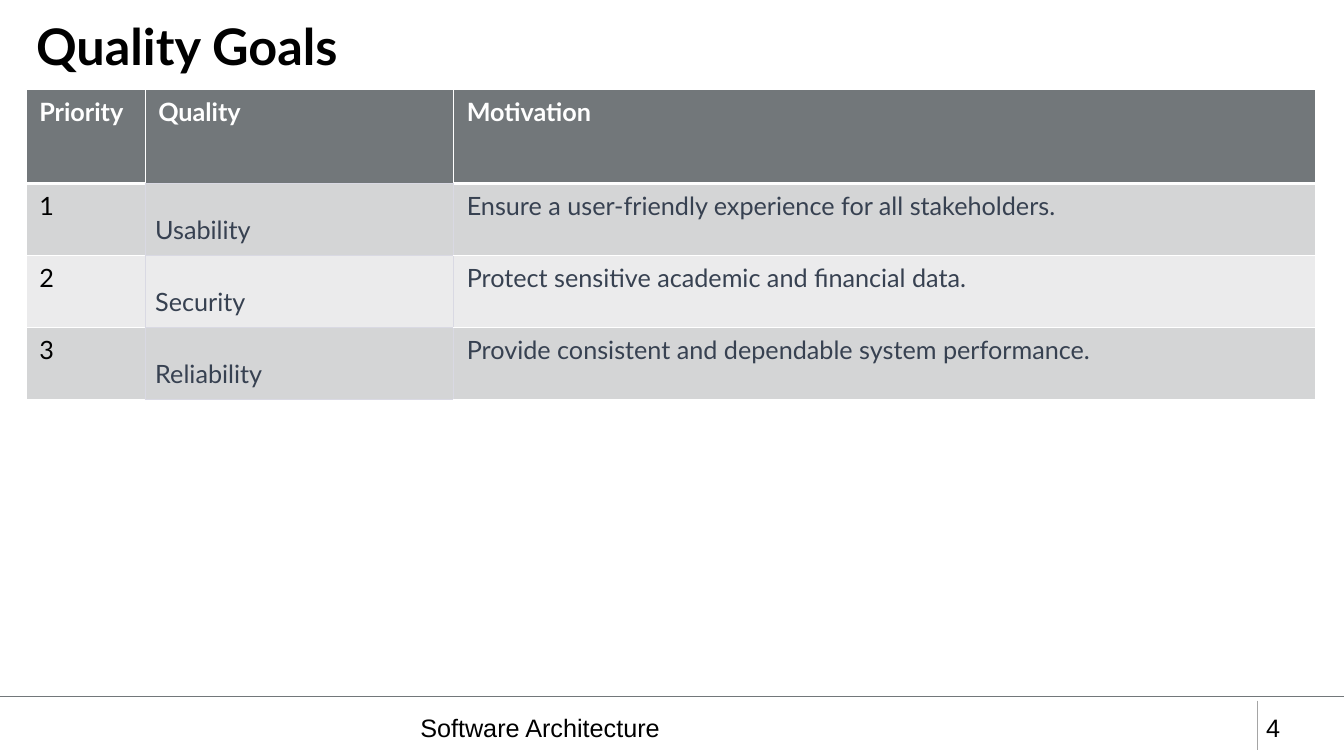
from dataclasses import dataclass

from lxml import etree
from pptx import Presentation
from pptx import util as u
from pptx.dml.color import RGBColor
from pptx.enum import shapes, text
from pptx.oxml import ns

BLACK = RGBColor(0x00, 0x00, 0x00)
WHITE = RGBColor(0xFF, 0xFF, 0xFF)
SLATE = RGBColor(0x72, 0x77, 0x7A)
GREY = RGBColor(0xA5, 0xA5, 0xA5)
INK = RGBColor(0x37, 0x41, 0x51)
LAVENDER = RGBColor(0xD9, 0xD9, 0xE3)
BANDS = (RGBColor(0xD4, 0xD5, 0xD6), RGBColor(0xEB, 0xEB, 0xEC))


@dataclass(frozen=True)
class Label:
    content: str
    left: float
    top: float
    width: float
    height: float
    font: str = "Arial"
    size: float = 18
    bold: bool = False
    spacing: float = 1.0


@dataclass(frozen=True)
class Rule:
    start: tuple[float, float]
    end: tuple[float, float]
    color: RGBColor


@dataclass(frozen=True)
class Border:
    color: RGBColor = WHITE
    width: float = 1


@dataclass(frozen=True)
class Goal:
    priority: str
    quality: str
    motivation: str


LABELS = (
    Label("Quality Goals", 0.26, 0.17, 12.8, 0.64, "Lato", 36, True, 0.9),
    Label("Software Architecture", 4.07, 7.02, 8.27, 0.4),
    Label("4", 12.46, 7.02, 0.71, 0.4),
)
RULES = (
    Rule((12.47, 6.95), (12.47, 7.44), GREY),
    Rule((0, 6.91), (13.33, 6.91), SLATE),
)
HEADER = Goal("Priority", "Quality", "Motivation")
GOALS = (
    Goal("1", "Usability", "Ensure a user-friendly experience for all stakeholders."),
    Goal("2", "Security", "Protect sensitive academic and financial data."),
    Goal("3", "Reliability", "Provide consistent and dependable system performance."),
)
COLUMN_WIDTHS = (1.18, 3.06, 8.55)
HEADER_HEIGHT, GOAL_HEIGHT = 0.93, 0.54
QUALITY_COLUMN = 1
PLAIN, SOFT, HEAVY = Border(), Border(LAVENDER, 0.75), Border(width=3)


def write(frame, content: str, *, font: str = "Lato", size: float = 18,
          color: RGBColor = BLACK, bold: bool = False, spacing: float = 1.0) -> None:
    paragraph = frame.paragraphs[0]
    paragraph.line_spacing = spacing
    run = paragraph.add_run()
    run.text = content
    run.font.name = font
    run.font.size = u.Pt(size)
    run.font.bold = bold
    run.font.color.rgb = color


def add_label(slide, label: Label) -> None:
    box = slide.shapes.add_textbox(*map(u.Inches, (label.left, label.top, label.width, label.height)))
    box.text_frame.word_wrap = True
    box.text_frame.vertical_anchor = text.MSO_ANCHOR.MIDDLE
    write(box.text_frame, label.content, font=label.font, size=label.size,
          bold=label.bold, spacing=label.spacing)


def add_rule(slide, rule: Rule) -> None:
    line = slide.shapes.add_connector(
        shapes.MSO_CONNECTOR.STRAIGHT, *map(u.Inches, rule.start + rule.end))
    line.line.color.rgb = rule.color
    line.line.width = u.Pt(1)
    etree.SubElement(line._element.spPr, ns.qn("a:effectLst"))


def set_borders(cell, left: Border, right: Border, top: Border, bottom: Border) -> None:
    """Must run before the cell is filled, as the schema puts lines first."""
    properties = cell._tc.get_or_add_tcPr()
    for side, border in zip("LRTB", (left, right, top, bottom)):
        line = etree.SubElement(properties, ns.qn(f"a:ln{side}"), w=str(u.Pt(border.width)))
        fill = etree.SubElement(line, ns.qn("a:solidFill"))
        etree.SubElement(fill, ns.qn("a:srgbClr"), val=str(border.color))


def fill_cell(cell, content: str, row: int, column: int) -> None:
    is_header = row == 0
    is_quality = column == QUALITY_COLUMN
    if is_header:
        set_borders(cell, PLAIN, PLAIN, PLAIN, SOFT if is_quality else HEAVY)
    elif is_quality:
        set_borders(cell, SOFT, SOFT, SOFT, SOFT)
    else:
        left, right = (SOFT, PLAIN) if column > QUALITY_COLUMN else (PLAIN, SOFT)
        set_borders(cell, left, right, HEAVY if row == 1 else PLAIN, PLAIN)
    cell.fill.solid()
    cell.fill.fore_color.rgb = SLATE if is_header else BANDS[(row - 1) % 2]

    centred = is_quality and not is_header
    horizontal, vertical = (0.1, 0.1) if centred else (0.13, 0.07)
    cell.margin_left = cell.margin_right = u.Inches(horizontal)
    cell.margin_top = cell.margin_bottom = u.Inches(vertical)
    cell.vertical_anchor = text.MSO_ANCHOR.MIDDLE if centred else text.MSO_ANCHOR.TOP
    color = WHITE if is_header else BLACK if column == 0 else INK
    write(cell.text_frame, content, color=color, bold=is_header,
          spacing=1.71 if centred else 1.0)


def add_goal_table(slide) -> None:
    heights = (HEADER_HEIGHT,) + (GOAL_HEIGHT,) * len(GOALS)
    table = slide.shapes.add_table(
        len(heights), len(COLUMN_WIDTHS), u.Inches(0.26), u.Inches(0.89),
        u.Inches(sum(COLUMN_WIDTHS)), u.Inches(sum(heights))).table
    for column, width in zip(table.columns, COLUMN_WIDTHS):
        column.width = u.Inches(width)
    for row, height in zip(table.rows, heights):
        row.height = u.Inches(height)
    for row, goal in enumerate((HEADER, *GOALS)):
        for column, content in enumerate((goal.priority, goal.quality, goal.motivation)):
            fill_cell(table.cell(row, column), content, row, column)


def main() -> None:
    presentation = Presentation()
    presentation.slide_width = u.Inches(13.33)
    presentation.slide_height = u.Inches(7.5)
    slide = presentation.slides.add_slide(presentation.slide_layouts[6])
    for rule in RULES:
        add_rule(slide, rule)
    for label in LABELS:
        add_label(slide, label)
    add_goal_table(slide)
    presentation.save("out.pptx")


if __name__ == "__main__":
    main()
